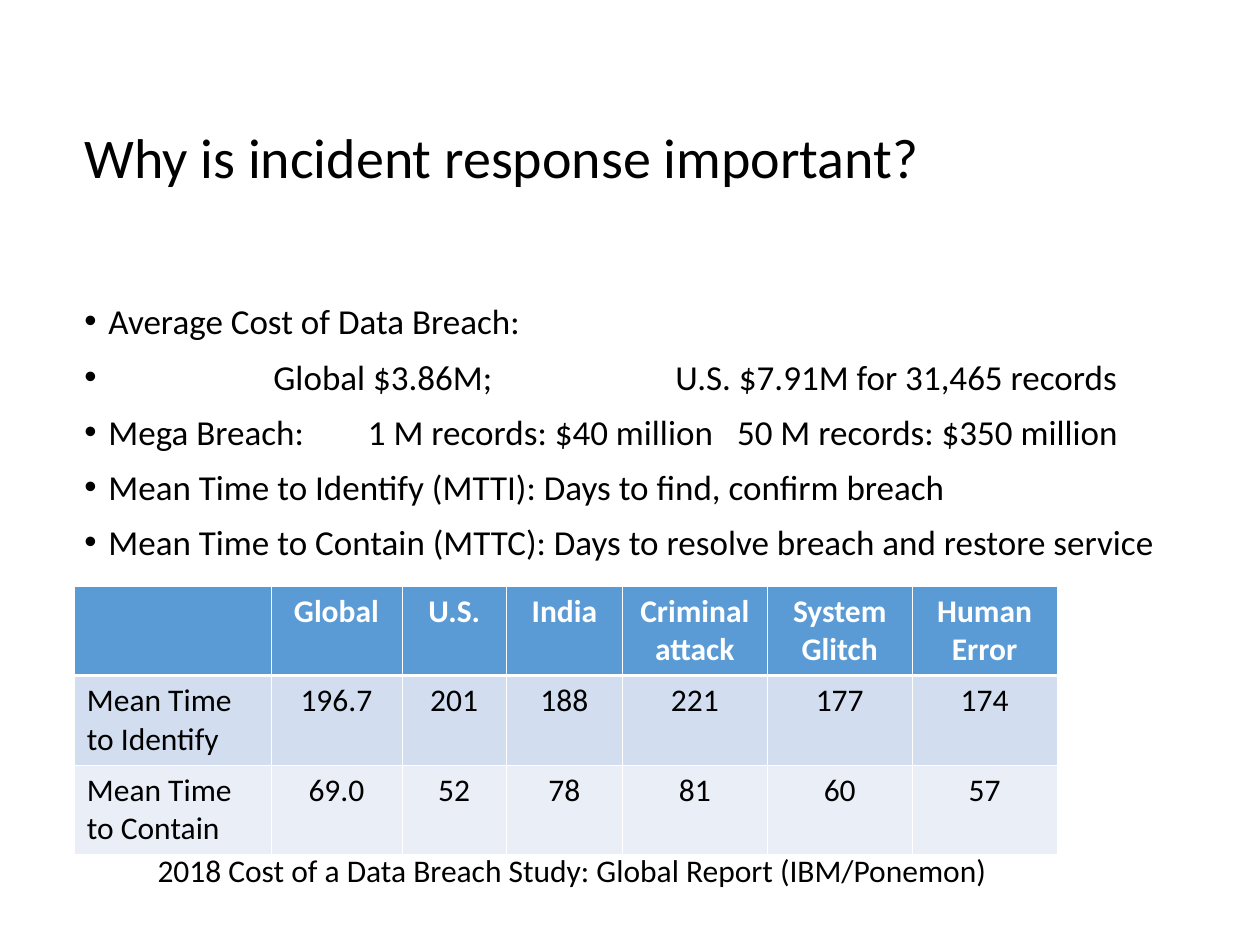
from dataclasses import dataclass

from lxml import etree
from pptx import Presentation
from pptx.dml.color import RGBColor
from pptx.enum.text import MSO_ANCHOR, MSO_AUTO_SIZE, PP_ALIGN
from pptx.oxml.ns import qn
from pptx.util import Inches, Pt

LEFT, CENTER = PP_ALIGN.LEFT, PP_ALIGN.CENTER
TOP, MIDDLE = MSO_ANCHOR.TOP, MSO_ANCHOR.MIDDLE
NO_AUTOFIT = MSO_AUTO_SIZE.NONE


@dataclass(frozen=True)
class Theme:
    font: str = "Calibri"
    ink: str = "000000"
    white: str = "FFFFFF"
    header: str = "5B9BD5"
    bands: tuple = ("D2DEEF", "EAEFF7")
    title_size: int = 32
    body_size: int = 20
    small_size: int = 18
    thin_line: float = 0.45
    thick_line: float = 1.47


# Each bullet has its text and the tab stops, in inches, that align it.
BULLETS = [
    ("Average Cost of Data Breach:", ()),
    ("\tGlobal $3.86M;\tU.S. $7.91M for 31,465 records", (1.5, 4.69)),
    ("Mega Breach:\t1 M records: $40 million\t50 M records: $350 million", (2.25, 5.18)),
    ("Mean Time to Identify (MTTI): Days to find, confirm breach", ()),
    ("Mean Time to Contain (MTTC): Days to resolve breach and restore service", ()),
]
RESPONSE_TIMES = [
    ("", "Global", "U.S.", "India", "Criminal attack", "System Glitch", "Human Error"),
    ("Mean Time to Identify", "196.7", "201", "188", "221", "177", "174"),
    ("Mean Time to Contain", "69.0", "52", "78", "81", "60", "57"),
]
COLUMN_WIDTHS = (1.56, 1.04, 0.83, 0.92, 1.15, 1.15, 1.15)
ROW_HEIGHT = 0.7


def add_child(parent, tag, **attributes):
    return etree.SubElement(parent, qn(tag), attributes)


def write(para, text, *, theme, size, color=None, bold=False, align=LEFT,
          spacing=1.0, before=0):
    para.alignment = align
    para.line_spacing = spacing
    para.space_before = Pt(before)
    span = para.add_run()
    span.text = text
    span.font.name = theme.font
    span.font.size = Pt(size)
    span.font.bold = bold
    span.font.color.rgb = RGBColor.from_string(color or theme.ink)


def add_bullet(para, color, tab_stops):
    """Give the paragraph a hanging round bullet and its own tab stops."""
    properties = para._p.get_or_add_pPr()
    properties.set("marL", str(Inches(0.19)))
    properties.set("indent", str(-Inches(0.19)))
    add_child(add_child(properties, "a:buClr"), "a:srgbClr", val=color)
    add_child(properties, "a:buFont", typeface="Arial")
    add_child(properties, "a:buChar", char="•")
    if tab_stops:
        tabs = add_child(properties, "a:tabLst")
        for stop in tab_stops:
            add_child(tabs, "a:tab", pos=str(Inches(stop)), algn="l")


def set_borders(cell, color, widths):
    """Draw the left, right, top and bottom borders, with widths in points."""
    properties = cell._tc.get_or_add_tcPr()
    for index, (side, width) in enumerate(zip("LRTB", widths)):
        line = add_child(properties, f"a:ln{side}", w=str(Pt(width)))
        add_child(add_child(line, "a:solidFill"), "a:srgbClr", val=color)
        properties.insert(index, line)


class SlideBuilder:
    def __init__(self, page, theme):
        self.page = page
        self.theme = theme

    def place(self, box, left, top, width, height, anchor):
        box.left, box.top = Inches(left), Inches(top)
        box.width, box.height = Inches(width), Inches(height)
        frame = box.text_frame
        frame.word_wrap = True
        frame.auto_size = NO_AUTOFIT
        frame.vertical_anchor = anchor
        return frame

    def title(self, text, *bounds):
        frame = self.place(self.page.shapes.title, *bounds, MIDDLE)
        write(frame.paragraphs[0], text, theme=self.theme,
              size=self.theme.title_size, spacing=0.9)

    def bullets(self, items, *bounds):
        frame = self.place(self.page.placeholders[1], *bounds, TOP)
        for index, (text, tab_stops) in enumerate(items):
            para = frame.add_paragraph() if index else frame.paragraphs[0]
            add_bullet(para, self.theme.ink, tab_stops)
            write(para, text, theme=self.theme, size=self.theme.body_size,
                  before=7.5 if index else 0)

    def table(self, rows, left, top):
        theme = self.theme
        table = self.page.shapes.add_table(
            len(rows), len(COLUMN_WIDTHS), Inches(left), Inches(top),
            Inches(sum(COLUMN_WIDTHS)), Inches(ROW_HEIGHT * len(rows))).table
        for column, width in zip(table.columns, COLUMN_WIDTHS):
            column.width = Inches(width)
        fills = (theme.header, *theme.bands)
        thin, thick = theme.thin_line, theme.thick_line
        for row_index, values in enumerate(rows):
            table.rows[row_index].height = Inches(ROW_HEIGHT)
            is_header = row_index == 0
            widths = (thin, thin, thick if row_index == 1 else thin,
                      thick if is_header else thin)
            for column_index, value in enumerate(values):
                cell = table.cell(row_index, column_index)
                cell.fill.solid()
                cell.fill.fore_color.rgb = RGBColor.from_string(fills[row_index])
                set_borders(cell, theme.white, widths)
                if value:
                    write(cell.text_frame.paragraphs[0], value, theme=theme,
                          size=theme.small_size, bold=is_header,
                          color=theme.white if is_header else theme.ink,
                          align=CENTER if column_index else LEFT)

    def caption(self, text, *bounds):
        box = self.page.shapes.add_textbox(0, 0, 0, 0)
        frame = self.place(box, *bounds, TOP)
        frame.margin_left = frame.margin_right = 0
        frame.margin_top = frame.margin_bottom = 0
        write(frame.paragraphs[0], text, theme=self.theme,
              size=self.theme.small_size, spacing=Pt(22))


def main():
    deck = Presentation()
    deck.slide_width, deck.slide_height = Inches(10), Inches(7.5)
    page = deck.slides.add_slide(deck.slide_layouts[1])
    builder = SlideBuilder(page, Theme())
    builder.title("Why is incident response important?", 0.57, 1, 8.92, 0.54)
    builder.bullets(BULLETS, 0.57, 2.33, 8.92, 4.64)
    builder.table(RESPONSE_TIMES, 0.59, 4.65)
    builder.caption("2018 Cost of a Data Breach Study: Global Report (IBM/Ponemon)",
                    1.25, 6.75, 6.75, 0.4)
    deck.save("out.pptx")


if __name__ == "__main__":
    main()
